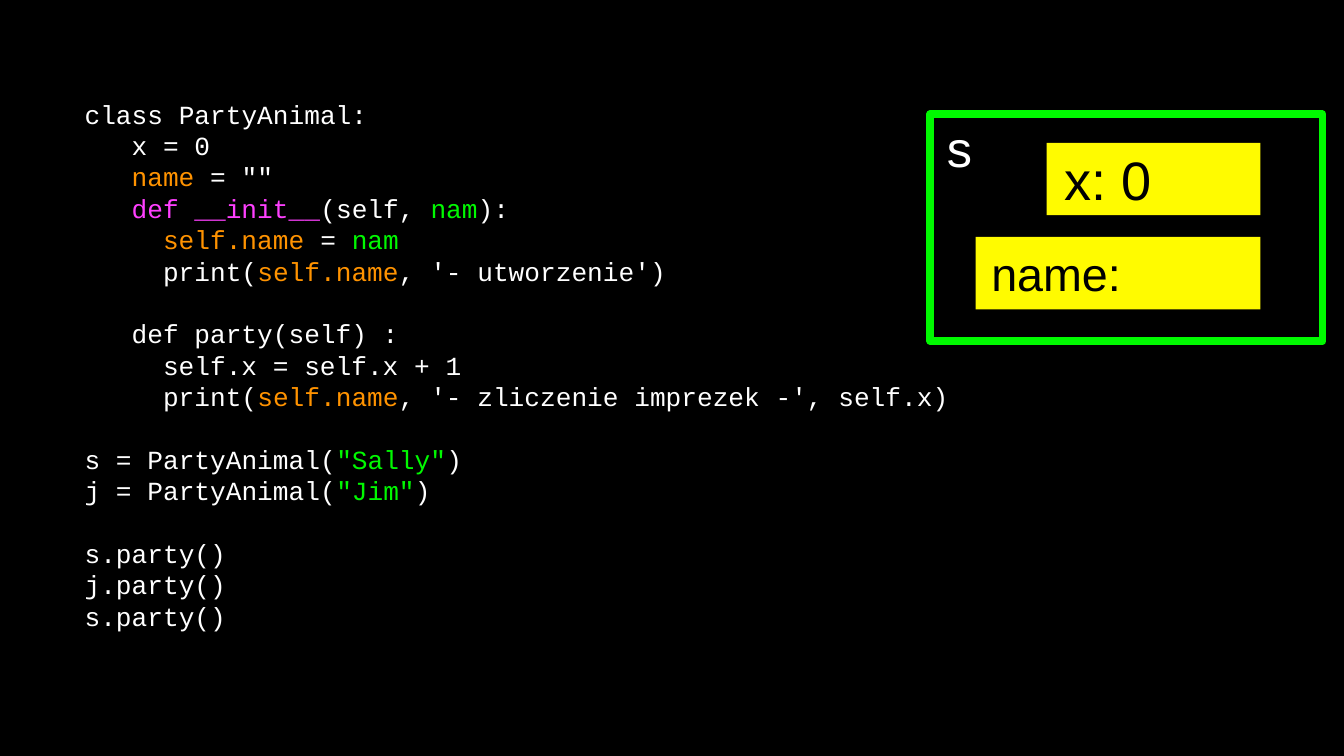
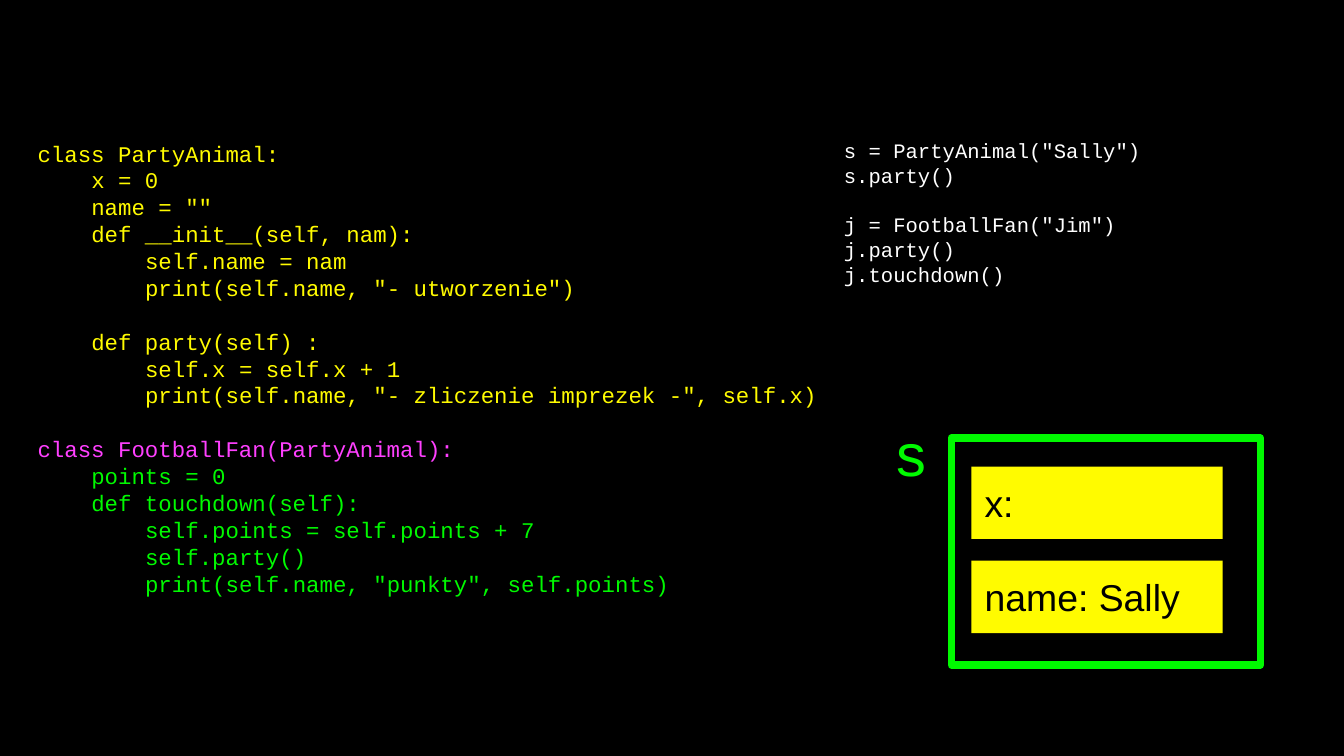
from pptx import Presentation
from pptx.dml.color import RGBColor
from pptx.enum.shapes import MSO_SHAPE
from pptx.enum.text import MSO_ANCHOR, PP_ALIGN
from pptx.util import Cm, Pt

BLACK = RGBColor(0x00, 0x00, 0x00)
WHITE = RGBColor(0xFF, 0xFF, 0xFF)
YELLOW = RGBColor(0xFF, 0xFB, 0x00)
ORANGE = RGBColor(0xFF, 0x93, 0x00)
MAGENTA = RGBColor(0xFF, 0x40, 0xFF)
GREEN = RGBColor(0x00, 0xF9, 0x00)
LABEL_GREEN = RGBColor(0x00, 0xFA, 0x00)

CODE_FONT = "Courier New"
LABEL_FONT = "Arial"
CHAR_WIDTH = 0.6
LINE_PITCH = 1.2
SPACE_WIDTH = 0.28
INSET = Cm(0.05)
FIELD_TOP, FIELD_HEIGHT, FIELD_STEP = 0.54, 1.37, 1.78


def painted(source, colour):
    """Turn plain source code into lines of one colour."""
    return [[(line, colour)] if line else [] for line in source.split("\n")]


CONSTRUCTOR_CODE = [
    *painted("class PartyAnimal:\n   x = 0", WHITE),
    [("   name", ORANGE), (' = ""', WHITE)],
    [("   def __init__", MAGENTA), ("(self, ", WHITE), ("nam", GREEN), ("):", WHITE)],
    [("     self.name", ORANGE), (" = ", WHITE), ("nam", GREEN)],
    [("     print(", WHITE), ("self.name", ORANGE), (", '- utworzenie')", WHITE)],
    *painted("\n   def party(self) :\n     self.x = self.x + 1", WHITE),
    [("     print(", WHITE), ("self.name", ORANGE),
     (", '- zliczenie imprezek -', self.x)", WHITE)],
    [],
    [("s = PartyAnimal(", WHITE), ('"Sally"', GREEN), (")", WHITE)],
    [("j = PartyAnimal(", WHITE), ('"Jim"', GREEN), (")", WHITE)],
    *painted("\ns.party()\nj.party()\ns.party()", WHITE),
]

INHERITANCE_CODE = [
    *painted('''class PartyAnimal:
    x = 0
    name = ""
    def __init__(self, nam):
        self.name = nam
        print(self.name, "- utworzenie")

    def party(self) :
        self.x = self.x + 1
        print(self.name, "- zliczenie imprezek -", self.x)
''', YELLOW),
    *painted("class FootballFan(PartyAnimal):", MAGENTA),
    *painted('''    points = 0
    def touchdown(self):
        self.points = self.points + 7
        self.party()
        print(self.name, "punkty", self.points)''', GREEN),
]

USAGE_CODE = painted('''s = PartyAnimal("Sally")
s.party()

j = FootballFan("Jim")
j.party()
j.touchdown()''', WHITE)


def style_font(font, name, size, colour):
    """Apply typeface, size and colour."""
    font.name, font.size = name, Pt(size)
    font.color.rgb = colour


def set_insets(frame):
    """Give a text frame the narrow margins shared by all boxes."""
    frame.margin_left = frame.margin_right = INSET
    frame.margin_top = frame.margin_bottom = INSET


def add_code(shapes, box, lines, size):
    """Write code lines, with indents and gaps as paragraph formatting."""
    frame = shapes.add_textbox(*map(Cm, box)).text_frame
    frame.word_wrap = True
    frame.vertical_anchor = MSO_ANCHOR.MIDDLE
    set_insets(frame)
    paragraph, gap = frame.paragraphs[0], False
    for number, line in enumerate(lines):
        if not line:
            gap = True
            continue
        if number:
            paragraph = frame.add_paragraph()
        paragraph.line_spacing = Pt(size * LINE_PITCH)
        paragraph.space_before = Pt(size * LINE_PITCH if gap else 0)
        gap = False
        first = line[0][0]
        depth = len(first) - len(first.lstrip())
        properties = paragraph._p.get_or_add_pPr()
        properties.set("marL", str(Pt(depth * CHAR_WIDTH * size)))
        properties.set("indent", "0")
        for position, (text, colour) in enumerate(line):
            run = paragraph.add_run()
            run.text = text if position else text.lstrip()
            style_font(run.font, CODE_FONT, size, colour)


def add_box(shapes, box, anchor):
    """Add a plain rectangle without shadow."""
    rectangle = shapes.add_shape(MSO_SHAPE.RECTANGLE, *map(Cm, box))
    rectangle.shadow.inherit = False
    rectangle.text_frame.vertical_anchor = anchor
    set_insets(rectangle.text_frame)
    return rectangle


def write_label(frame, text, size, colour):
    """Write one left-aligned label, set in by the width of a space."""
    frame.margin_left = INSET + Pt(size * SPACE_WIDTH)
    frame.text = text
    frame.paragraphs[0].alignment = PP_ALIGN.LEFT
    style_font(frame.paragraphs[0].runs[0].font, LABEL_FONT, size, colour)


def add_instance(shapes, box, fields, right_gap):
    """Draw an object frame with its fields lined up on the right."""
    left, top, width, _ = box
    outline = add_box(shapes, box, MSO_ANCHOR.TOP)
    outline.fill.background()
    outline.line.color.rgb = GREEN
    outline.line.width = Pt(4)
    for row, (text, size, field_width) in enumerate(fields):
        field_left = left + width - right_gap - field_width
        field_top = top + FIELD_TOP + row * FIELD_STEP
        field = add_box(shapes, (field_left, field_top, field_width, FIELD_HEIGHT),
                        MSO_ANCHOR.MIDDLE)
        field.fill.solid()
        field.fill.fore_color.rgb = YELLOW
        field.line.fill.background()
        write_label(field.text_frame, text, size, BLACK)
    return outline


def build_constructor_slide(slide):
    """Show the class with a constructor and the new object s."""
    add_code(slide.shapes, (1.55, 0.48, 19.15, 12.83), CONSTRUCTOR_CODE, 14)
    instance = slide.shapes.add_group_shape()
    outline = add_instance(instance.shapes, (17.58, 2.16, 7.42, 4.29),
                           [("x: 0", 29, 4.04), ("name:", 25, 5.38)], 1.18)
    write_label(outline.text_frame, "s", 27, WHITE)


def build_inheritance_slide(slide):
    """Show the derived class, its use and the object s."""
    add_instance(slide.shapes, (17.98, 8.28, 5.84, 4.29),
                 [("x:", 20, 4.75), ("name: Sally", 20, 4.75)], 0.71)
    variable = slide.shapes.add_textbox(Cm(16.69), Cm(7.75), Cm(0.97), Cm(1.63))
    variable.text_frame.text = "s"
    style_font(variable.text_frame.paragraphs[0].runs[0].font,
               LABEL_FONT, 32, LABEL_GREEN)
    add_code(slide.shapes, (0.66, 0.43, 15.7, 13.06), INHERITANCE_CODE, 12)
    add_code(slide.shapes, (15.9, 1.68, 9.04, 4.67), USAGE_CODE, 11)


def main():
    """Build and save both slides."""
    deck = Presentation()
    deck.slide_width, deck.slide_height = Cm(25.4), Cm(14.29)
    background = deck.slide_master.background.fill
    background.solid()
    background.fore_color.rgb = BLACK
    for build in (build_constructor_slide, build_inheritance_slide):
        build(deck.slides.add_slide(deck.slide_layouts[6]))
    deck.save("out.pptx")


if __name__ == "__main__":
    main()
